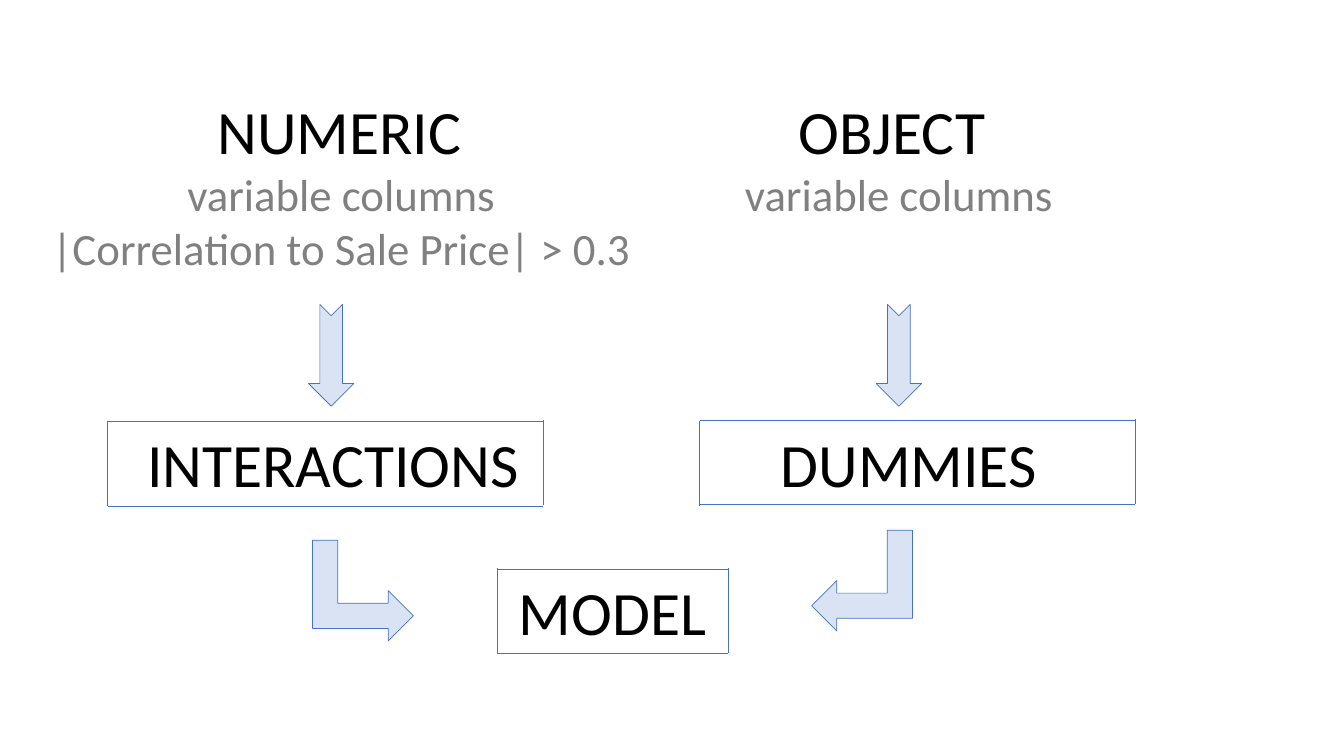
"""Build the slide that shows numeric and object columns feeding a model."""
from lxml import etree
from pptx import Presentation, util as u
from pptx.dml.color import RGBColor
from pptx.enum import shapes, text
from pptx.oxml.ns import qn

THEME = {
    "font": "Calibri", "title": 44, "note": 32, "line": 0.5,
    "ink": RGBColor(0, 0, 0), "grey": RGBColor(0x80, 0x80, 0x80),
    "blue": RGBColor(0x44, 0x72, 0xC4), "pale": RGBColor(0xDA, 0xE3, 0xF3),
}

LABELS = [
    (0.33, 0.87, 6.21, 1.92,
     ["NUMERIC ", "variable columns ", "|Correlation to Sale Price| > 0.3 "]),
    (0.83, 4.18, 4.95, 0.84, ["INTERACTIONS"]),
    (6.44, 0.87, 4.95, 1.38, ["OBJECT ", "variable columns"]),
    (6.54, 4.18, 4.95, 0.84, ["DUMMIES"]),
    (3.6, 5.64, 4.95, 0.84, ["MODEL"]),
]

# left, right, top, bottom, left side's top, right side's top
FRAMES = [
    (1.07, 5.39, 4.18, 5.02, 4.18, 4.17),
    (6.94, 11.26, 4.17, 5.0, 4.18, 4.16),
    (4.93, 7.22, 5.65, 6.48, 5.64, 5.64),
]
SIDE_HEIGHT = 0.84

BENT = shapes.MSO_SHAPE.BENT_UP_ARROW
DOWN = shapes.MSO_SHAPE.NOTCHED_RIGHT_ARROW
ARROWS = [
    (BENT, 3.1, 5.36, 1, 1, 90, False),
    (BENT, 8.05, 5.26, 1, 1, 270, True),
    (DOWN, 8.41, 3.3, 1.01, 0.45, 90, False),
    (DOWN, 2.78, 3.3, 1.01, 0.45, 90, False),
]


def inches(*values):
    return [u.Inches(v) for v in values]


def style_line(line):
    line.color.rgb = THEME["blue"]
    line.width = u.Pt(THEME["line"])


def add_label(s, x, y, w, h, lines):
    tf = s.shapes.add_textbox(*inches(x, y, w, h)).text_frame
    tf.word_wrap = True
    tf.auto_size = text.MSO_AUTO_SIZE.SHAPE_TO_FIT_TEXT
    for i, words in enumerate(lines):
        p = tf.add_paragraph() if i else tf.paragraphs[0]
        p.text = words
        p.alignment = text.PP_ALIGN.CENTER
        p.font.name = THEME["font"]
        p.font.size = u.Pt(THEME["note" if i else "title"])
        p.font.color.rgb = THEME["grey" if i else "ink"]


def add_frame(s, left, right, top, bottom, left_top, right_top):
    sides = [
        (left, left_top, left, left_top + SIDE_HEIGHT),
        (right, right_top, right, right_top + SIDE_HEIGHT),
        (left, top, right, top),
        (left, bottom, right, bottom),
    ]
    for side in sides:
        c = s.shapes.add_connector(shapes.MSO_CONNECTOR.STRAIGHT, *inches(*side))
        style_line(c.line)
        etree.SubElement(c._element.spPr, qn("a:effectLst"))


def add_arrow(s, kind, x, y, w, h, angle, flipped):
    sp = s.shapes.add_shape(kind, *inches(x, y, w, h))
    sp.rotation = angle
    if flipped:
        sp._element.spPr.xfrm.set("flipH", "1")
    sp.shadow.inherit = False
    sp.fill.solid()
    sp.fill.fore_color.rgb = THEME["pale"]
    style_line(sp.line)


def main():
    prs = Presentation()
    prs.slide_width, prs.slide_height = inches(13.33, 7.5)
    s = prs.slides.add_slide(prs.slide_layouts[6])
    for label in LABELS:
        add_label(s, *label)
    for frame in FRAMES:
        add_frame(s, *frame)
    for arrow in ARROWS:
        add_arrow(s, *arrow)
    prs.save("out.pptx")


if __name__ == "__main__":
    main()
